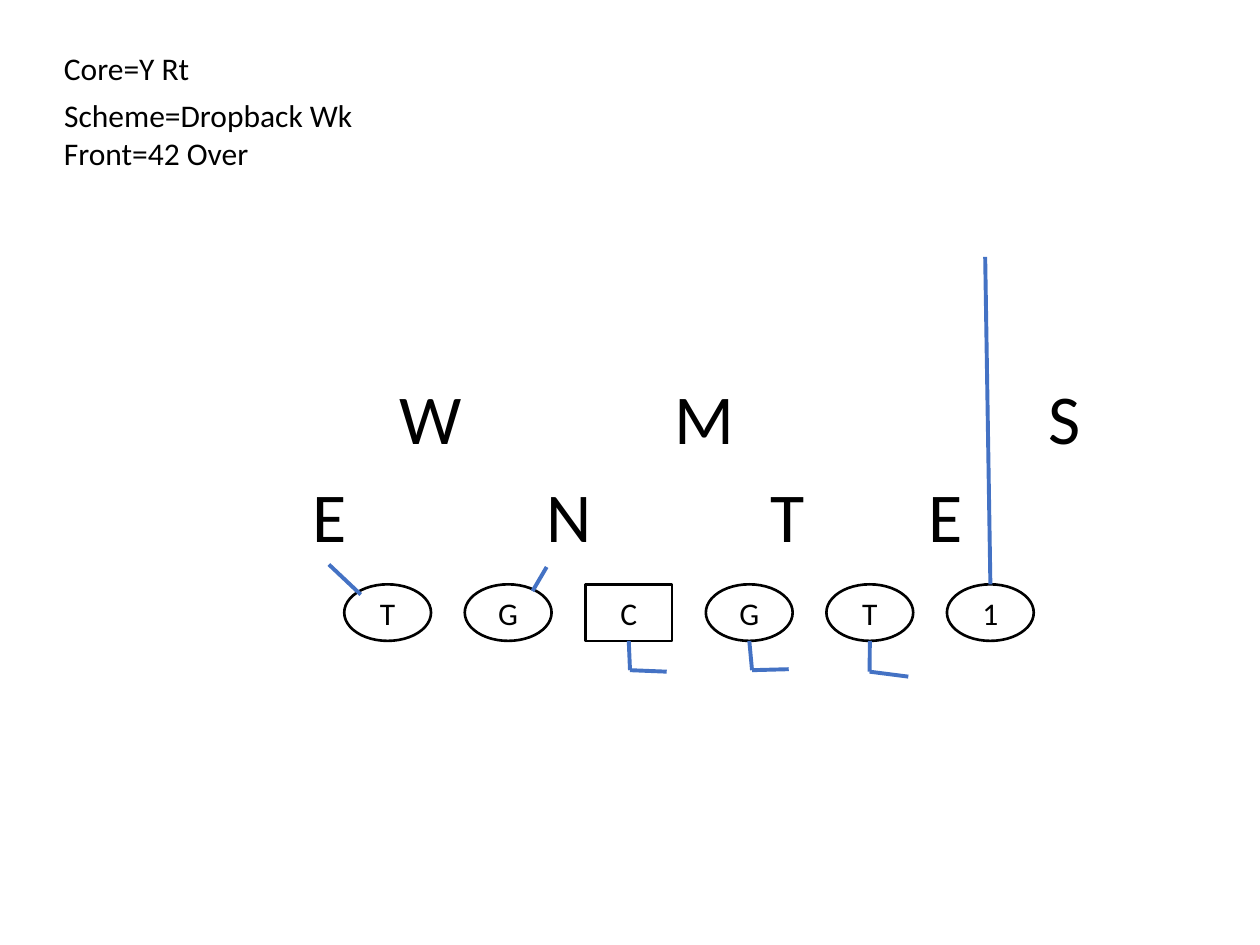
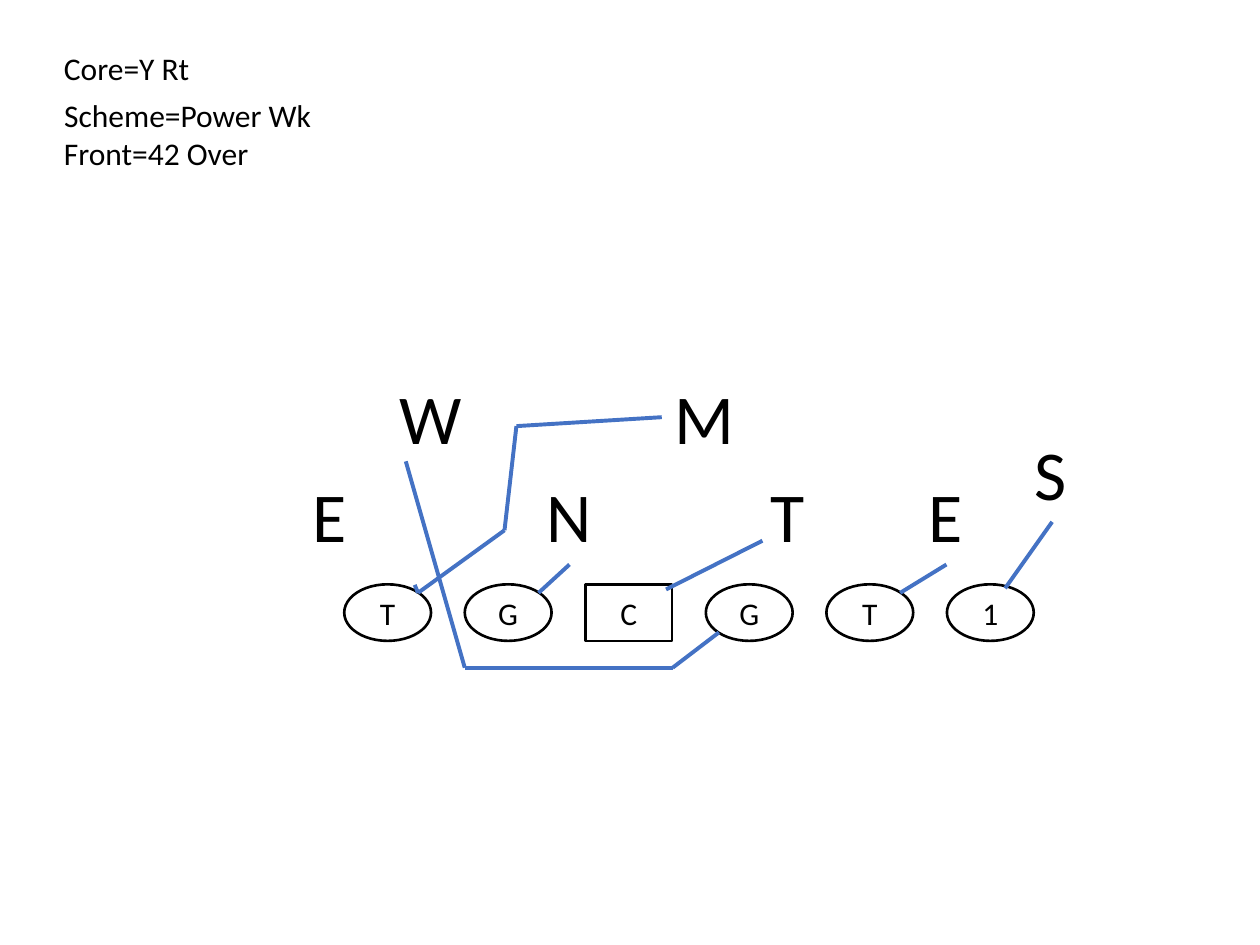
from dataclasses import dataclass

from lxml.etree import SubElement
from pptx import Presentation
from pptx.dml.color import RGBColor
from pptx.enum.shapes import MSO_CONNECTOR, MSO_SHAPE
from pptx.enum.text import MSO_ANCHOR, MSO_AUTO_SIZE, PP_ALIGN
from pptx.oxml.ns import qn
from pptx.util import Cm, Pt


@dataclass(frozen=True)
class Theme:
    font: str = "Calibri"
    ink: RGBColor = RGBColor(0, 0, 0)
    paper: RGBColor = RGBColor(255, 255, 255)
    route: RGBColor = RGBColor(0x44, 0x72, 0xC4)
    label_size: Pt = Pt(18)
    defender_size: Pt = Pt(40)
    outline: Pt = Pt(1.5)
    route_width: Pt = Pt(2.25)


THEME = Theme()

# All lengths are in centimetres.
HEADER_LEFT, HEADER_HEIGHT = 1.04, 1.02
CORE = ("Core=Y Rt", 0.86, 3.07)  # wording, top, width
FRONT = ("Front=42 Over", 2.57, 4.42)
SCHEME_TOP = 1.8

LINEMEN = ["T", "G", "C", "G", "T", "1"]
LINE_LEFT, LINE_TOP, LINE_PITCH = 6.94, 11.78, 2.43
LINEMAN_WIDTH, LINEMAN_HEIGHT = 1.75, 1.14
LEFT_TACKLE, LEFT_GUARD, CENTER, RIGHT_GUARD, RIGHT_TACKLE, TIGHT_END = range(6)

FRONT_ROW, BACKER_ROW = 9.4, 7.42
DEFENDER_HEIGHT = 1.96
DEFENDER_WIDTHS = {"N": 1.42, "T": 1.22, "E": 1.22, "S": 1.22, "W": 1.78, "M": 1.78}
DEFENDERS = [
    ("E", 6.05, FRONT_ROW), ("N", 10.77, FRONT_ROW),
    ("T", 15.29, FRONT_ROW), ("E", 18.47, FRONT_ROW),
    ("W", 7.8, BACKER_ROW), ("M", 13.34, BACKER_ROW),
]

# Where a route leaves its lineman, as shares of his width and height.
TOP, BOTTOM = (0.5, 0), (0.5, 1)
UPPER_RIGHT, LOWER_LEFT = (0.85, 0.15), (0.15, 0.85)
JOINS = {(CENTER, BOTTOM): 2, (TIGHT_END, TOP): 0}

PLAYS = [
    {
        "scheme": ("Scheme=Dropback Wk", 6.4),
        "safety": ("S", 20.88, BACKER_ROW),
        "routes": [
            (LEFT_TACKLE, (0.19, 0.18), [(6.63, 11.38)]),
            (LEFT_GUARD, (0.78, 0.12), [(11.02, 11.43)]),
            (CENTER, BOTTOM, [(12.7, 13.51), (13.44, 13.54)]),
            (RIGHT_GUARD, BOTTOM, [(15.16, 13.51), (15.9, 13.49)]),
            (RIGHT_TACKLE, BOTTOM, [(17.53, 13.54), (18.31, 13.64)]),
            (TIGHT_END, TOP, [(19.86, 5.18)]),
        ],
    },
    {
        "scheme": ("Scheme=Power Wk", 5.54),
        "safety": ("S", 20.6, 8.56),
        "routes": [
            (LEFT_TACKLE, UPPER_RIGHT, [(8.36, 11.79)]),
            (LEFT_TACKLE, UPPER_RIGHT, [(10.17, 10.69), (10.41, 8.59), (13.34, 8.41)]),
            (LEFT_GUARD, UPPER_RIGHT, [(11.48, 11.38)]),
            (CENTER, (0.93, 0.09), [(15.37, 10.9)]),
            (RIGHT_GUARD, LOWER_LEFT, [(13.56, 13.46), (9.37, 13.46), (8.18, 9.3)]),
            (RIGHT_TACKLE, UPPER_RIGHT, [(19.08, 11.38)]),
            (TIGHT_END, (0.67, 0.07), [(21.21, 10.52)]),
        ],
    },
]


def write(shape, words, size, align=PP_ALIGN.LEFT, **frame_format):
    frame = shape.text_frame
    frame.text = words
    for attribute, value in frame_format.items():
        setattr(frame, attribute, value)
    paragraph = frame.paragraphs[0]
    paragraph.alignment = align
    for attribute, value in {"name": THEME.font, "size": size}.items():
        setattr(paragraph.font, attribute, value)
    paragraph.font.color.rgb = THEME.ink


def add_label(slide, words, left, top, width, height, size):
    label = slide.shapes.add_textbox(Cm(left), Cm(top), Cm(width), Cm(height))
    write(label, words, size, word_wrap=False, auto_size=MSO_AUTO_SIZE.SHAPE_TO_FIT_TEXT)


def set_scheme(slide, words, width):
    title = slide.shapes.title
    place = {"left": HEADER_LEFT, "top": SCHEME_TOP, "width": width, "height": HEADER_HEIGHT}
    for attribute, value in place.items():
        setattr(title, attribute, Cm(value))
    write(title, words, THEME.label_size, word_wrap=False,
          auto_size=MSO_AUTO_SIZE.NONE, vertical_anchor=MSO_ANCHOR.TOP)


def lineman_left(position):
    return LINE_LEFT + position * LINE_PITCH


def add_lineman(slide, position):
    outline = MSO_SHAPE.RECTANGLE if position == CENTER else MSO_SHAPE.OVAL
    lineman = slide.shapes.add_shape(
        outline, Cm(lineman_left(position)), Cm(LINE_TOP), Cm(LINEMAN_WIDTH), Cm(LINEMAN_HEIGHT))
    lineman.shadow.inherit = False
    lineman.fill.solid()
    lineman.fill.fore_color.rgb = THEME.paper
    lineman.line.color.rgb = THEME.ink
    lineman.line.width = THEME.outline
    write(lineman, LINEMEN[position], THEME.label_size, PP_ALIGN.CENTER,
          vertical_anchor=MSO_ANCHOR.MIDDLE)
    return lineman


def add_route(slide, linemen, position, exit_point, stops):
    across, down = exit_point
    start = (lineman_left(position) + across * LINEMAN_WIDTH, LINE_TOP + down * LINEMAN_HEIGHT)
    corners = [start, *stops]
    for leg, (begin, end) in enumerate(zip(corners, stops)):
        stretch = slide.shapes.add_connector(
            MSO_CONNECTOR.STRAIGHT, *(Cm(length) for length in begin + end))
        stretch.line.color.rgb = THEME.route
        stretch.line.width = THEME.route_width
        SubElement(stretch.element.spPr, qn("a:effectLst"))
        if leg == 0 and (position, exit_point) in JOINS:
            stretch.begin_connect(linemen[position], JOINS[position, exit_point])


def add_play(deck, play):
    slide = deck.slides.add_slide(deck.slide_layouts[5])
    set_scheme(slide, *play["scheme"])
    for words, top, width in (CORE, FRONT):
        add_label(slide, words, HEADER_LEFT, top, width, HEADER_HEIGHT, THEME.label_size)
    linemen = [add_lineman(slide, position) for position in range(len(LINEMEN))]
    for letter, left, top in [*DEFENDERS, play["safety"]]:
        add_label(slide, letter, left, top, DEFENDER_WIDTHS[letter], DEFENDER_HEIGHT,
                  THEME.defender_size)
    for route in play["routes"]:
        add_route(slide, linemen, *route)


def main():
    deck = Presentation()
    deck.slide_width, deck.slide_height = Cm(25.4), Cm(19.05)
    for play in PLAYS:
        add_play(deck, play)
    deck.save("out.pptx")


if __name__ == "__main__":
    main()
